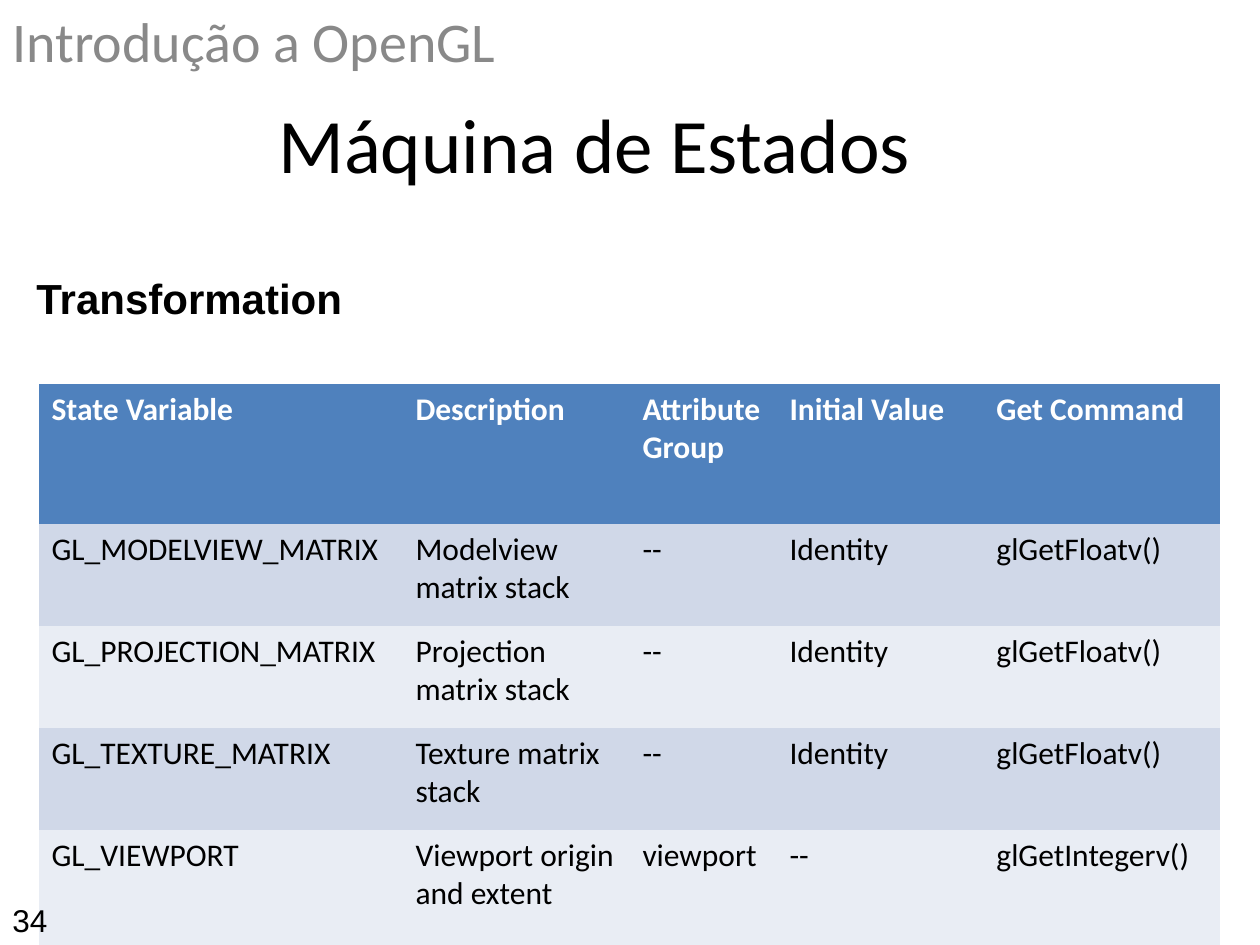
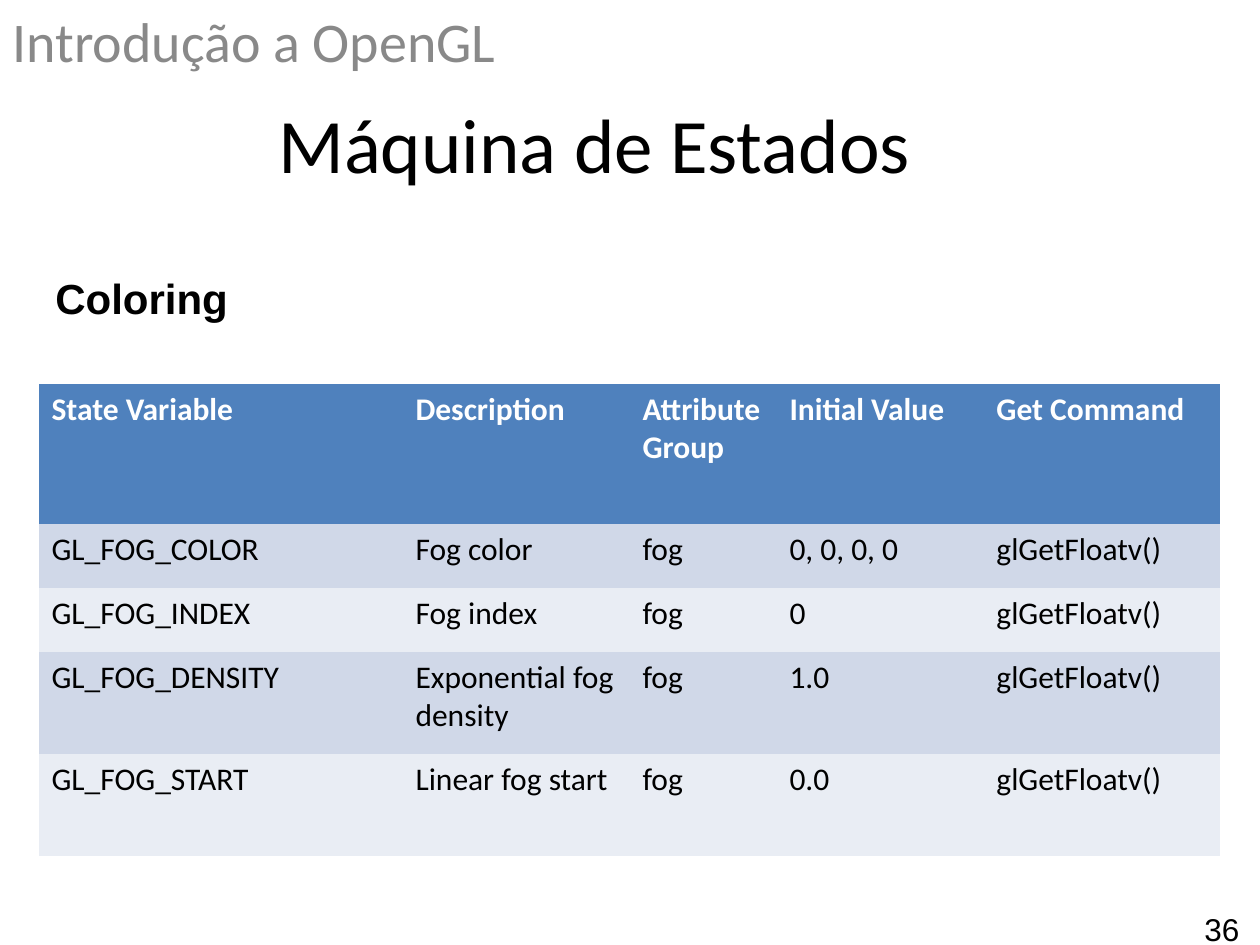
from pptx import Presentation
from pptx import util as u
from pptx.dml.color import RGBColor
from pptx.enum import text

# Shared geometry, colours and wording
PX = u.Inches(1) / 126
BLACK, WHITE, GREY = "000000", "FFFFFF", "898989"
HEADER_BLUE, BANDS = "4F81BD", ("D0D8E8", "E9EDF4")
NO_GRID_STYLE = "{2D5ABB26-0587-4C30-8999-92F81FD0307C}"
HEADINGS = ("State Variable", "Description", "Attribute Group",
            "Initial Value", "Get Command")
COLUMN_WIDTHS = (364, 227, 147, 207, 236)
HEADER_HEIGHT = 140

TRANSFORMATION = [
    ("GL_MODELVIEW_MATRIX", "Modelview matrix stack", "--", "Identity", "glGetFloatv()"),
    ("GL_PROJECTION_MATRIX", "Projection matrix stack", "--", "Identity", "glGetFloatv()"),
    ("GL_TEXTURE_MATRIX", "Texture matrix stack", "--", "Identity", "glGetFloatv()"),
    ("GL_VIEWPORT", "Viewport origin and extent", "viewport", "--", "glGetIntegerv()"),
]
COLORING = [
    ("GL_FOG_COLOR", "Fog color", "fog", "0, 0, 0, 0", "glGetFloatv()"),
    ("GL_FOG_INDEX", "Fog index", "fog", "0", "glGetFloatv()"),
    ("GL_FOG_DENSITY", "Exponential fog density", "fog", "1.0", "glGetFloatv()"),
    ("GL_FOG_START", "Linear fog start", "fog", "0.0", "glGetFloatv()"),
]


def px(length):
    return u.Emu(round(length * PX))


def color(hex_string):
    return RGBColor.from_string(hex_string)


def write(frame, words, size, font, hex_string, bold=False):
    frame.text = words
    for run in frame.paragraphs[0].runs:
        run.font.size = u.Pt(size)
        run.font.name = font
        run.font.bold = bold
        run.font.color.rgb = color(hex_string)


def add_label(slide, box, words, size, font, hex_string, bold=False, wrap=True):
    frame = slide.shapes.add_textbox(*map(px, box)).text_frame
    frame.word_wrap = wrap
    write(frame, words, size, font, hex_string, bold)
    return frame


def add_title(slide):
    title = add_label(slide, (59, 78, 1071, 129), "Máquina de Estados",
                      44, "Calibri", BLACK)
    title.vertical_anchor = text.MSO_ANCHOR.MIDDLE
    title.paragraphs[0].alignment = text.PP_ALIGN.CENTER


def add_state_table(slide, variables, heights):
    rows = [HEADINGS, *variables]
    heights = [HEADER_HEIGHT, *heights]
    states = slide.shapes.add_table(
        len(rows), len(HEADINGS), px(39), px(384),
        px(sum(COLUMN_WIDTHS)), px(sum(heights))).table
    states._tbl.tblPr.find("{*}tableStyleId").text = NO_GRID_STYLE
    for column, width in zip(states.columns, COLUMN_WIDTHS):
        column.width = px(width)

    for r, (values, height) in enumerate(zip(rows, heights)):
        states.rows[r].height = px(height)
        header = r == 0
        band = HEADER_BLUE if header else BANDS[(r - 1) % 2]
        for c, value in enumerate(values):
            cell = states.cell(r, c)
            cell.fill.solid()
            cell.fill.fore_color.rgb = color(band)
            write(cell.text_frame, value, 18, "Calibri",
                  WHITE if header else BLACK, bold=header)


def add_state_slide(deck, group, group_left, variables, heights, number, number_at):
    slide = deck.slides.add_slide(deck.slide_layouts[6])
    add_title(slide)
    add_label(slide, (0, 0, 882, 118), "Introdução a OpenGL", 32, "Calibri", GREY)
    add_state_table(slide, variables, heights)
    add_label(slide, (group_left, 266, 882, 78), group, 24, "Arial", BLACK, bold=True)
    add_label(slide, (*number_at, 60, 50), number, 18, "Arial", BLACK, wrap=False)


def main():
    deck = Presentation()
    deck.slide_width, deck.slide_height = px(1260), px(945)
    add_state_slide(deck, "Transformation", 24, TRANSFORMATION,
                    (102, 102, 102, 140), "34", (0, 895))
    add_state_slide(deck, "Coloring", 43, COLORING,
                    (64, 64, 102, 102), "36", (1192, 904))
    deck.save("out.pptx")


if __name__ == "__main__":
    main()
